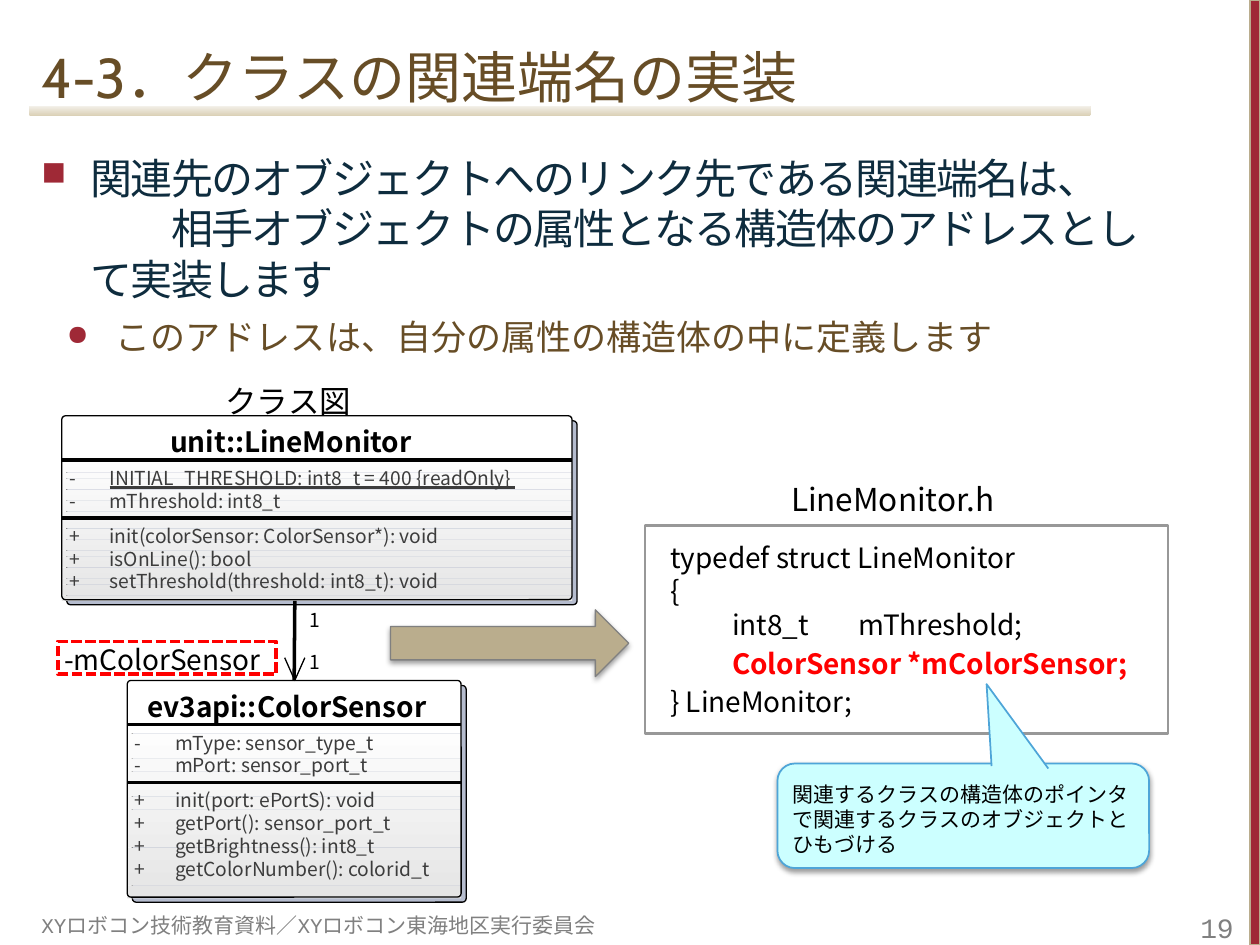
from lxml.etree import SubElement
from pptx import Presentation
from pptx.dml.color import RGBColor
from pptx.enum.dml import MSO_LINE
from pptx.enum.lang import MSO_LANGUAGE_ID
from pptx.enum.shapes import MSO_CONNECTOR, MSO_SHAPE
from pptx.enum.text import MSO_ANCHOR, PP_ALIGN
from pptx.oxml.ns import qn
from pptx.util import Inches, Pt

COLORS = {
    "black": "000000", "member": "3C3C3C", "gray": "808080", "frame": "989898",
    "red": "FF0000", "accent": "9F2936", "tan": "BAAD8D", "navy": "0E2C3E",
    "brown": "674D26", "bar_dark": "DBD1B7", "bar_light": "F3F0E9",
    "class_shadow": "B5BCCE", "white": "FFFFFF", "callout": "CCFFFF",
    "callout_line": "4EA5D8",
}
SANS, MONO, HEADING = "Noto Sans CJK JP", "Courier New", "Cabin"
ROW = 0.18


def rgb(name):
    return RGBColor.from_string(COLORS.get(name, name))


def style(font, size, color, name, bold=False):
    font.size, font.name, font.bold = Pt(size), name, bold
    font.color.rgb = rgb(color)
    font.language_id = MSO_LANGUAGE_ID.JAPANESE
    SubElement(font._element, qn("a:ea"), typeface=name)


def set_frame(frame, insets=(0, 0, 0, 0), anchor=MSO_ANCHOR.TOP):
    frame.word_wrap = True
    frame.vertical_anchor = anchor
    (frame.margin_left, frame.margin_top,
     frame.margin_right, frame.margin_bottom) = map(Inches, insets)


def add_lines(frame, lines, size, color, name, bold=False):
    for index, line in enumerate(lines):
        paragraph = frame.paragraphs[0] if index == 0 else frame.add_paragraph()
        paragraph.text = line
        paragraph.alignment = PP_ALIGN.LEFT
        style(paragraph.font, size, color, name, bold)
    return frame.paragraphs


def add_text(slide, box, text, size, color="black", name=SANS, bold=False,
             insets=(0, 0, 0, 0), anchor=MSO_ANCHOR.TOP):
    frame = slide.shapes.add_textbox(*map(Inches, box)).text_frame
    set_frame(frame, insets, anchor)
    return add_lines(frame, [text], size, color, name, bold)[0]


def paint(shape, fill=None, line=None, width=0):
    if fill:
        shape.fill.solid()
        shape.fill.fore_color.rgb = rgb(fill)
    else:
        shape.fill.background()
    if line:
        shape.line.color.rgb = rgb(line)
        shape.line.width = Pt(width)
    else:
        shape.line.fill.background()
    shape.shadow.inherit = False


def add_box(slide, kind, box, fill=None, line=None, width=0, radius=None):
    shape = slide.shapes.add_shape(kind, *map(Inches, box))
    if radius:
        shape.adjustments[0] = radius / min(box[2:])
    paint(shape, fill, line, width)
    return shape


def add_open_path(slide, points, fill, line, width):
    corners = [(Inches(x), Inches(y)) for x, y in points]
    builder = slide.shapes.build_freeform(*corners[0])
    builder.add_line_segments(corners[1:], close=False)
    paint(builder.convert_to_shape(), fill, line, width)


def add_line(slide, start, end, color="black"):
    line = slide.shapes.add_connector(
        MSO_CONNECTOR.STRAIGHT, *map(Inches, (*start, *end)))
    line.line.color.rgb = rgb(color)
    line.line.width = 0
    SubElement(line._element.spPr, qn("a:effectLst"))
    return line


def add_soft_shadow(shape):
    effects = shape._element.spPr.find(qn("a:effectLst"))
    shadow = SubElement(effects, qn("a:outerShdw"), blurRad=str(Pt(3.1)),
                        dist=str(Pt(1.6)), dir="5400000", rotWithShape="0")
    color = SubElement(shadow, qn("a:srgbClr"), val=COLORS["black"])
    SubElement(color, qn("a:alpha"), val="38000")


def set_indent(paragraph, left, first=0):
    properties = paragraph._p.get_or_add_pPr()
    properties.set("marL", str(Inches(left)))
    properties.set("indent", str(Inches(first)))
    return properties


def add_bullet(paragraph, left, character, spacing):
    paragraph.space_before = paragraph.space_after = Pt(spacing)
    properties = set_indent(paragraph, left, -0.39)
    defaults = properties.find(qn("a:defRPr"))
    color = properties.makeelement(qn("a:buClr"))
    SubElement(color, qn("a:srgbClr"), val=COLORS["accent"])
    for element in (color,
                    properties.makeelement(qn("a:buSzPct"), val="80000"),
                    properties.makeelement(qn("a:buChar"), char=character)):
        defaults.addprevious(element)


def add_page_frame(slide):
    bar = add_box(slide, MSO_SHAPE.ROUNDED_RECTANGLE, (0.23, 0.84, 8.43, 0.08), "bar_dark")
    bar.fill.gradient()
    bar.fill.gradient_angle = 90
    for stop, color in zip(bar.fill.gradient_stops, ("bar_dark", "bar_light")):
        stop.color.rgb = rgb(color)
    add_box(slide, MSO_SHAPE.RECTANGLE, (9.92, 0, 0.08, 7.5), "accent", "tan", 0.75)
    add_text(slide, (0.23, 0.2, 8.4, 0.72), "4-3．クラスの関連端名の実装", 32, "brown",
             HEADING, insets=(0.1, 0.05, 0.1, 0.05), anchor=MSO_ANCHOR.BOTTOM)
    add_text(slide, (0.23, 7.09, 4.77, 0.4), "XYロボコン技術教育資料／XYロボコン東海地区実行委員会",
             12, "gray", MONO, insets=(0.1, 0.05, 0.1, 0.05), anchor=MSO_ANCHOR.BOTTOM)
    number = add_text(slide, (9.3, 7.12, 0.59, 0.37), "19", 16, "gray", MONO,
                      insets=(0.1, 0.05, 0.1, 0), anchor=MSO_ANCHOR.BOTTOM)
    number.alignment = PP_ALIGN.RIGHT


def add_body(slide, box):
    frame = slide.shapes.add_textbox(*map(Inches, box)).text_frame
    set_frame(frame, (0.1, 0.05, 0.1, 0.05))
    main, detail = add_lines(frame, [
        "関連先のオブジェクトへのリンク先である関連端名は、　　相手オブジェクトの属性となる構造体のアドレスとして実装します",
        "このアドレスは、自分の属性の構造体の中に定義します"], 24, "navy", MONO)
    main.runs[0].font._element.set("spc", "-100")
    detail.font.size, detail.font.color.rgb = Pt(20), rgb("brown")
    add_bullet(main, 0.39, "■", 4)
    add_bullet(detail, 0.59, "●", 3)


def add_class(slide, box, title, title_left, attributes, methods, band_top, shade_step,
              underlined=None):
    """Draw a UML class; band_top is where its grey shading starts below the top."""
    left, top, width, height = box
    rounded = MSO_SHAPE.ROUNDED_RECTANGLE
    add_box(slide, rounded, (left + 0.04, top + 0.04, width, height),
            "class_shadow", "black", radius=0.03)
    add_box(slide, MSO_SHAPE.RECTANGLE, (left, top + 0.01, width, band_top - 0.01), "white")
    shades = range(0xFF - shade_step, 0xE4, -shade_step)
    band = (height + 0.01 - band_top) / len(shades)
    for index, shade in enumerate(shades):
        add_box(slide, MSO_SHAPE.RECTANGLE,
                (left, top + band_top + index * band, width, band), f"{shade:02X}" * 3)
    outline = add_box(slide, rounded, box, None, "black", radius=0.03)
    add_text(slide, (left + title_left, top + 0.07, 2.4, 0.27), title, 16, bold=True)
    for rule, first, sign, members in ((0.35, 0.4, "-", attributes), (0.81, 0.86, "+", methods)):
        add_line(slide, (left, top + rule), (left + width, top + rule))
        for index, member in enumerate(members):
            y = top + first + index * ROW
            add_text(slide, (left + 0.06, y, 0.2, ROW), sign, 11, "member")
            add_text(slide, (left + 0.38, y, width - 0.38, ROW), member, 11, "member")
            if member == underlined:
                add_line(slide, (left + 0.38, y + 0.17), (left + 3.6, y + 0.17), "member")
    return outline


def add_association(slide, start, target):
    x, y = start
    end = 5.4
    line = add_line(slide, start, (x, end))
    line.end_connect(target, 0)
    add_open_path(slide, [(x - 0.08, end - 0.18), (x, end), (x + 0.08, end - 0.18)],
                  None, "black", 0)
    for offset in (0.06, 0.39):
        add_text(slide, (x + 0.12, y + offset, 0.15, ROW), "1", 11)
    add_text(slide, (x - 1.83, y + 0.33, 1.7, 0.27), "-mColorSensor", 16)
    marker = add_box(slide, MSO_SHAPE.RECTANGLE, (x - 1.88, y + 0.32, 1.73, 0.26), None, "red", 2)
    marker.line.dash_style = MSO_LINE.SQUARE_DOT


def add_code(slide, box):
    frame = add_box(slide, MSO_SHAPE.RECTANGLE, box, None, "frame", 1.5).text_frame
    set_frame(frame, (0.2, 0.05, 0.04, 0.05), MSO_ANCHOR.MIDDLE)
    paragraphs = add_lines(frame, ["typedef struct LineMonitor", "{", "int8_t\tmThreshold;",
                                   "ColorSensor *mColorSensor;", "} LineMonitor;"],
                           16, "black", SANS)
    for field in paragraphs[2:4]:
        set_indent(field, 0.49)
        field.space_after = Pt(3)
    properties = paragraphs[2]._p.pPr
    tabs = properties.makeelement(qn("a:tabLst"))
    SubElement(tabs, qn("a:tab"), pos=str(Inches(1.71)), algn="l")
    properties.find(qn("a:defRPr")).addprevious(tabs)
    paragraphs[3].font.bold = True
    paragraphs[3].font.color.rgb = rgb("red")


def add_callout(slide, box):
    left, top = box[:2]
    shape = add_box(slide, MSO_SHAPE.ROUNDED_RECTANGLE, box, "callout", "callout_line", 1)
    add_soft_shadow(shape)
    set_frame(shape.text_frame, (0.08, 0.05, 0, 0), MSO_ANCHOR.MIDDLE)
    add_lines(shape.text_frame, ["関連するクラスの構造体のポインタ", "で関連するクラスのオブジェクトと",
                                 "ひもづける"], 12, "black", MONO)
    add_open_path(slide, [(left + 1.7, top + 0.02), (left + 1.66, top - 0.63),
                          (left + 2.15, top + 0.04)], "callout", "callout_line", 1)


def main():
    presentation = Presentation()
    presentation.slide_width, presentation.slide_height = Inches(10), Inches(7.5)
    slide = presentation.slides.add_slide(presentation.slide_layouts[6])
    add_page_frame(slide)
    add_body(slide, (0.23, 1.16, 8.92, 5.88))
    threshold = "INITIAL_THRESHOLD: int8_t = 400 {readOnly}"
    add_class(slide, (0.49, 3.3, 4.05, 1.46), "unit::LineMonitor", 0.86,
              [threshold, "mThreshold: int8_t"],
              ["init(colorSensor: ColorSensor*): void", "isOnLine(): bool",
               "setThreshold(threshold: int8_t): void"], 0.32, 1, threshold)
    sensor = add_class(slide, (1.01, 5.4, 2.65, 1.72), "ev3api::ColorSensor", 0.16,
                       ["mType: sensor_type_t", "mPort: sensor_port_t"],
                       ["init(port: ePortS): void", "getPort(): sensor_port_t",
                        "getBrightness(): int8_t", "getColorNumber(): colorid_t"], 0.42, 2)
    add_association(slide, (2.34, 4.77), sensor)
    add_code(slide, (5.12, 4.17, 4.15, 1.65))
    for box, label, font in (((6.18, 3.76, 1.9, 0.4), "LineMonitor.h", SANS),
                             ((1.69, 2.98, 1.25, 0.4), "クラス図", MONO)):
        add_text(slide, box, label, 18, name=font, insets=(0.1, 0.05, 0.1, 0.05))
    arrow = add_box(slide, MSO_SHAPE.RIGHT_ARROW, (3.1, 4.84, 1.89, 0.53), "tan", "gray", 0.75)
    add_soft_shadow(arrow)
    add_callout(slide, (6.17, 6.06, 2.95, 0.83))
    presentation.save("out.pptx")


if __name__ == "__main__":
    main()
